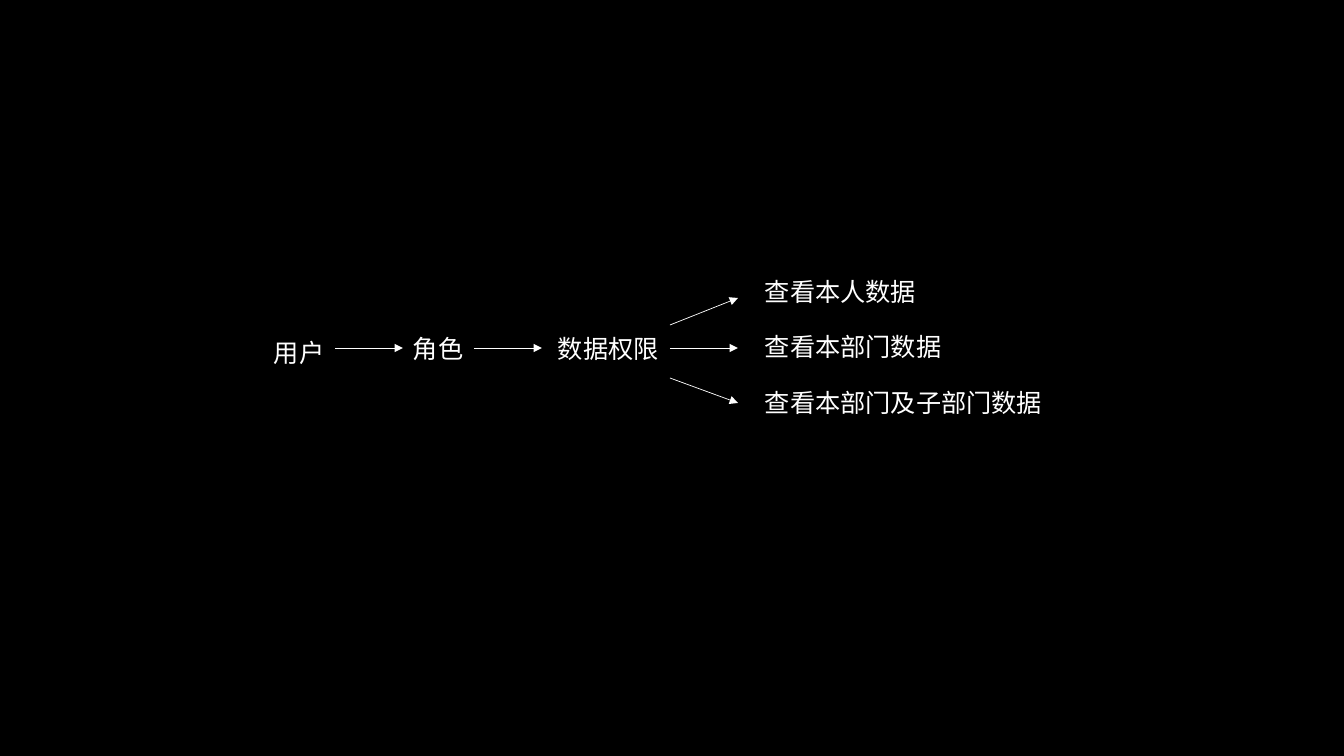
from pptx import Presentation, util as u
from pptx.dml import color
from pptx.enum import shapes, text
from pptx.oxml import ns
from lxml import etree

PIXEL = u.Inches(1) / 100.8
COLOURS = {"background": "000000", "ink": "FFFFFF"}
FONT = "Noto Sans CJK SC"
GLYPH_WIDTH, INSETS, LABEL_HEIGHT, ARROW_LENGTH = 25.4, 20, 40, 68


def px(*lengths):
    """Turn pixel lengths into EMU."""
    return [u.Emu(round(length * PIXEL)) for length in lengths]


def rgb(name):
    """Look up a named colour."""
    return color.RGBColor.from_string(COLOURS[name])


def set_attributes(target, **values):
    """Set every given format value on the target."""
    for name, value in values.items():
        setattr(target, name, value)


def add_label(page, left, top, wording):
    """Add one line of text, as wide as its characters need."""
    width = round(INSETS + GLYPH_WIDTH * len(wording))
    box = page.shapes.add_textbox(*px(left, top, width, LABEL_HEIGHT))
    set_attributes(box.text_frame, word_wrap=False,
                   auto_size=text.MSO_AUTO_SIZE.SHAPE_TO_FIT_TEXT)
    span = box.text_frame.paragraphs[0].add_run()
    span.text = wording
    set_attributes(span.font, name=FONT, size=u.Pt(18))
    span.font.color.rgb = rgb("ink")
    properties = span.font._element
    etree.SubElement(properties, ns.qn("a:ea"), typeface=FONT)


def add_arrow(page, left, top, rise=0):
    """Add a thin arrow to the right that climbs by the given rise."""
    ends = px(left, top, left + ARROW_LENGTH, top - rise)
    arrow = page.shapes.add_connector(shapes.MSO_CONNECTOR.STRAIGHT, *ends)
    arrow.line.width = u.Pt(0.5)
    arrow.line.color.rgb = rgb("ink")
    properties = arrow._element.spPr
    outline = properties.find(ns.qn("a:ln"))
    etree.SubElement(outline, ns.qn("a:tailEnd"), type="triangle")
    etree.SubElement(properties, ns.qn("a:effectLst"))


def add_chain(page, box):
    """Place user, role and data permission, joined by arrows."""
    left, top = box
    for x, y, wording in [(0, 4, "用户"), (139, 0, "角色"), (284, 0, "数据权限")]:
        add_label(page, left + x, top + y, wording)
    for x in (71, 210):
        add_arrow(page, left + x, top + 20)


def add_branches(page, box):
    """Place the three kinds of access with an arrow towards each."""
    left, top = box
    branches = [
        (0, "查看本人数据", 54, 27),
        (55, "查看本部门数据", 77, 0),
        (111, "查看本部门及子部门数据", 107, -25),
    ]
    for y, wording, start, rise in branches:
        add_label(page, left + 85, top + y, wording)
        add_arrow(page, left, top + start, rise)


def build_permission_slide(deck):
    """Build the slide on data permissions."""
    page = deck.slides.add_slide(deck.slide_layouts[6])
    page.background.fill.solid()
    page.background.fill.fore_color.rgb = rgb("background")
    add_chain(page, (264, 328))
    add_branches(page, (670, 271))


deck = Presentation()
set_attributes(deck, slide_width=px(1344)[0], slide_height=px(756)[0])
build_permission_slide(deck)
deck.save("out.pptx")
